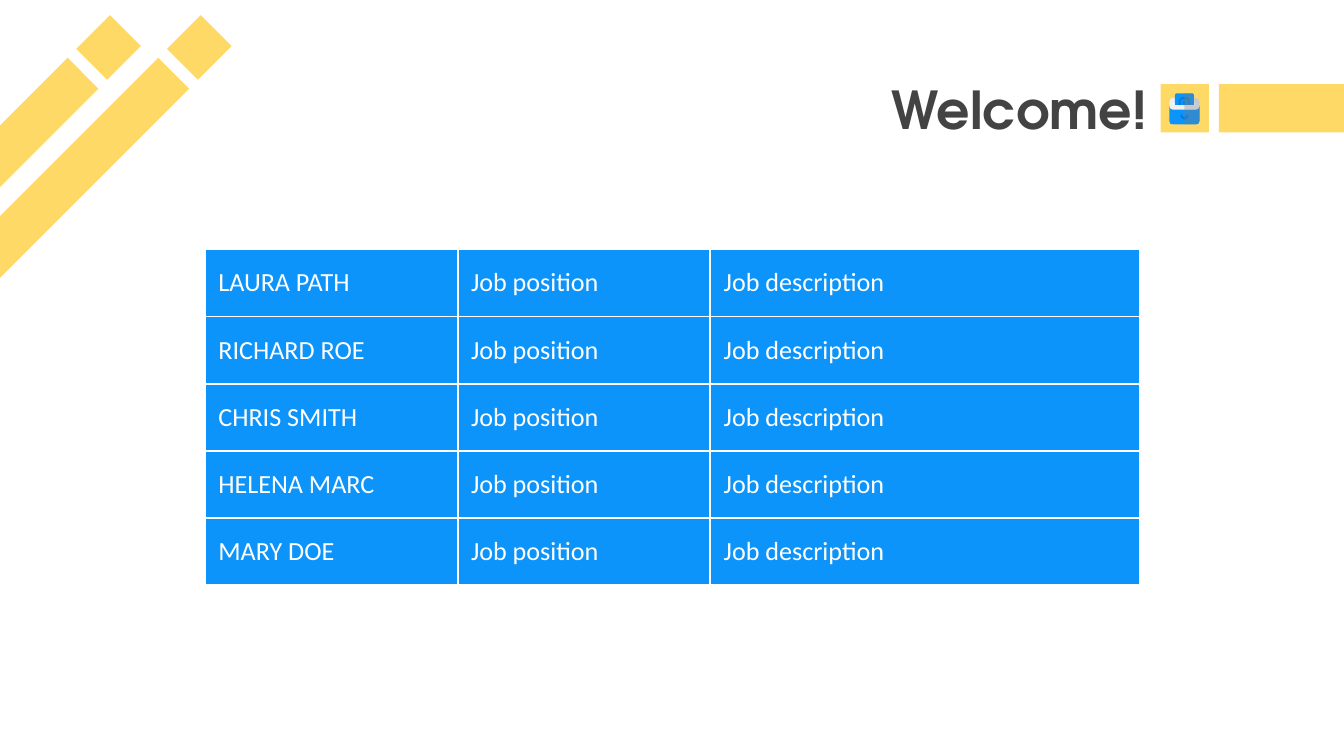
from lxml import etree
from pptx import Presentation
from pptx.dml.color import RGBColor
from pptx.enum.shapes import MSO_SHAPE
from pptx.enum.text import MSO_ANCHOR, PP_ALIGN
from pptx.oxml import parse_xml
from pptx.oxml.ns import nsdecls, qn
from pptx.util import Inches, Pt

RECT = MSO_SHAPE.RECTANGLE
MIDDLE = MSO_ANCHOR.MIDDLE
RIGHT = PP_ALIGN.RIGHT

GOLD = "FFD966"
BLUE = "0D94FB"
DEEP = "007FE0"
PALE = "EFEFEF"
WHITE = "FFFFFF"
GRAY = "7B7B7B"
DARK = "434343"

NAMES = ["LAURA PATH", "RICHARD ROE", "CHRIS SMITH", "HELENA MARC", "MARY DOE"]
COLS = [3.76, 3.76, 6.39]

BODY = [(0, 20), (18, 20), (19.5, 19), (21, 17), (22.5, 19), (22.5, 41),
        (21, 45), (17.5, 46), (0, 46)]
LID = [(0, 14), (10, 14), (10, 8), (12, 7), (17.5, 7), (21, 8.5), (22.5, 12),
       (22.5, 19), (21, 22.5), (17.5, 24), (0, 24)]
SLOT = [(0, 14), (16, 14), (17.5, 15.5), (16, 17), (0, 17)]
CLASP = [(0, 35), (2, 34.5), (2.5, 33), (4, 31), (6, 33), (4.5, 37), (0, 39)]
CARD = [(0, 0), (12.5, 0), (14, 2), (14, 17), (0, 17)]
GRIP = [(0, 9), (3.5, 9), (5.5, 11), (5.5, 17), (8.5, 17), (8.5, 10),
        (5, 6), (3.5, 5), (0, 5)]
KEY = [(0, 11), (1.5, 12.5), (1.5, 17), (0, 17)]
PARTS = [(BODY, BLUE), (LID, PALE), (SLOT, WHITE), (CLASP, DEEP),
         (CARD, BLUE), (GRIP, DEEP), (KEY, DEEP)]


def color(code):
    return RGBColor.from_string(code)


def paint(shape, code, alpha=None):
    shape.shadow.inherit = False
    shape.line.fill.background()
    shape.fill.solid()
    shape.fill.fore_color.rgb = color(code)
    if alpha:
        tone = shape.fill._xPr.find(".//" + qn("a:srgbClr"))
        etree.SubElement(tone, qn("a:alpha"), val=str(alpha * 1000))


def block(slide, left, top, width, height, angle=0):
    shape = slide.shapes.add_shape(
        RECT, Inches(left), Inches(top), Inches(width), Inches(height))
    shape.rotation = angle
    paint(shape, GOLD)


def write(frame, text, size, font, code, bold=False):
    frame.word_wrap = True
    frame.vertical_anchor = MIDDLE
    frame.margin_left = frame.margin_right = Inches(0.2)
    frame.margin_top = frame.margin_bottom = Inches(0.2)
    run = frame.paragraphs[0].add_run()
    run.text = text
    run.font.size = Pt(size)
    run.font.name = font
    run.font.bold = bold
    run.font.color.rgb = color(code)


def stripes(slide, left, top):
    for step in (1.35, 0):
        block(slide, left + step + 5.18, top, 0.71, 0.65, 315)
        block(slide, left + step, top + 2.52, 6.04, 0.65, 315)


def outline(slide, points, left, top, code, alpha=None):
    spots = [(Inches(left + x / 100), Inches(top + y / 100)) for x, y in points]
    path = slide.shapes.build_freeform(*spots[0])
    path.add_line_segments(spots[1:], close=True)
    paint(path.convert_to_shape(), code, alpha)


def icon(slide, left, top, width):
    mid = left + width / 2
    for half, code in PARTS:
        whole = half + [(-x, y) for x, y in reversed(half)]
        outline(slide, whole, mid, top, code)
        if half not in (CLASP, CARD, GRIP, KEY):
            outline(slide, half, mid, top, GRAY, 32)
    for half in (CLASP, CARD, GRIP, KEY):
        outline(slide, half, mid, top, GRAY, 32)


def heading(slide, left, top, width, height):
    box = slide.shapes.add_textbox(
        Inches(left), Inches(top), Inches(width), Inches(height))
    write(box.text_frame, "Welcome!", 56, "TeX Gyre Adventor", DARK, True)
    box.text_frame.paragraphs[0].alignment = RIGHT


def border(cell):
    props = cell._tc.get_or_add_tcPr()
    for spot, side in enumerate("LRTB"):
        props.insert(spot, parse_xml(
            f'<a:ln{side} {nsdecls("a")} w="{Pt(2.25)}"><a:solidFill>'
            f'<a:srgbClr val="{WHITE}"/></a:solidFill></a:ln{side}>'))


def roster(slide, left, top, height):
    table = slide.shapes.add_table(
        len(NAMES), len(COLS), Inches(left), Inches(top),
        Inches(sum(COLS)), Inches(height)).table
    table.first_row = False
    table.horz_banding = False
    for col, width in zip(table.columns, COLS):
        col.width = Inches(width)
    for row, name in zip(table.rows, NAMES):
        row.height = Inches(height / len(NAMES))
        for cell, text in zip(row.cells, [name, "Job position", "Job description"]):
            cell.fill.solid()
            cell.fill.fore_color.rgb = color(BLUE)
            border(cell)
            write(cell.text_frame, text, 28, "Calibri", WHITE)
            cell.vertical_anchor = MIDDLE
            cell.margin_left = cell.margin_right = Inches(0.2)
            cell.margin_top = cell.margin_bottom = Inches(0.2)


def main():
    deck = Presentation()
    deck.slide_width = Inches(20)
    deck.slide_height = Inches(11.25)
    slide = deck.slides.add_slide(deck.slide_layouts[6])
    stripes(slide, -3.92, 0.38)
    block(slide, 18.14, 1.25, 1.86, 0.72)
    block(slide, 17.27, 1.25, 0.72, 0.72)
    roster(slide, 3.05, 3.71, 5)
    icon(slide, 17.4, 1.39, 0.45)
    heading(slide, 3.71, 1.14, 13.56, 0.94)
    deck.save("out.pptx")


if __name__ == "__main__":
    main()
